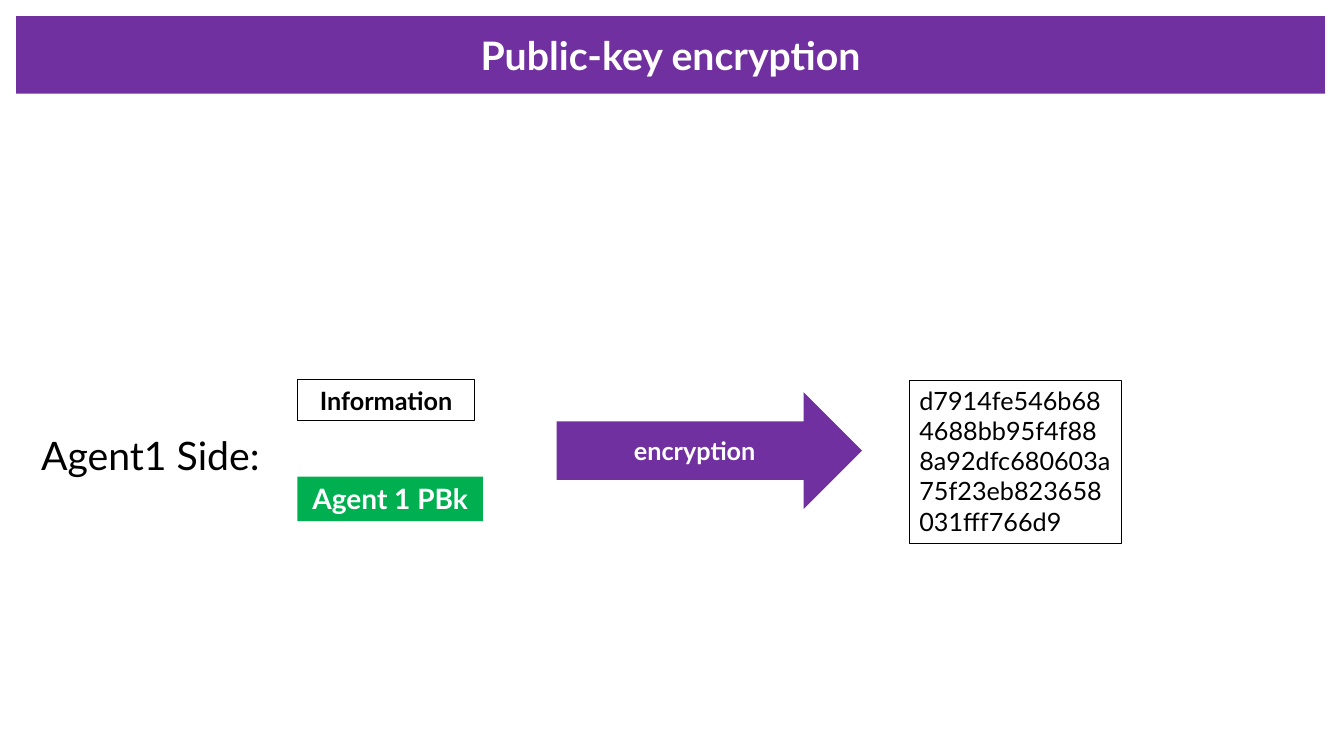
from lxml.etree import SubElement
from pptx import Presentation
from pptx.dml.color import RGBColor
from pptx.enum.shapes import MSO_SHAPE
from pptx.enum.text import MSO_ANCHOR, PP_ALIGN
from pptx.oxml.ns import qn
from pptx.util import Inches, Pt

FONT = "Lato"
COLORS = {"purple": "7030A0", "green": "00B050", "black": "000000", "white": "FFFFFF"}


def color(name):
    return RGBColor.from_string(COLORS[name])


def write(shape, text, size, ink, bold=False, align=PP_ALIGN.LEFT,
          anchor=MSO_ANCHOR.TOP, wrap=True):
    frame = shape.text_frame
    frame.word_wrap = wrap
    frame.vertical_anchor = anchor
    paragraph = frame.paragraphs[0]
    paragraph.alignment = align
    run = paragraph.add_run()
    run.text = text
    run.font.name = FONT
    run.font.size = Pt(size)
    run.font.bold = bold
    run.font.color.rgb = color(ink)


def paint(shape, fill):
    """Fill the shape with a colour, or leave it hollow with a thin outline."""
    if fill:
        shape.fill.solid()
        shape.fill.fore_color.rgb = color(fill)
        shape.line.fill.background()
    else:
        shape.fill.background()
        shape.line.color.rgb = color("black")
        shape.line.width = Pt(0.75)


def add_title_banner(slide, text):
    """Turn the title placeholder into a slanted banner."""
    title = slide.shapes.title
    title.left, title.top = Inches(0.16), Inches(0.16)
    title.width, title.height = Inches(12.98), Inches(0.77)
    outline = SubElement(title._element.spPr, qn("a:prstGeom"), prst="parallelogram")
    guides = SubElement(outline, qn("a:avLst"))
    SubElement(guides, qn("a:gd"), name="adj", fmla="val 75900")
    paint(title, "purple")
    write(title, text, 28, "white", bold=True, align=PP_ALIGN.CENTER,
          anchor=MSO_ANCHOR.MIDDLE)


def add_block(slide, kind, left, top, width, height, fill=None):
    block = slide.shapes.add_shape(
        kind, Inches(left), Inches(top), Inches(width), Inches(height))
    block.shadow.inherit = False
    paint(block, fill)
    return block


def add_side_label(slide, text):
    label = slide.shapes.add_textbox(
        Inches(0.31), Inches(4.23), Inches(2.41), Inches(0.57))
    write(label, text, 28, "black", wrap=False)


def main():
    prs = Presentation()
    prs.slide_width, prs.slide_height = Inches(13.33), Inches(7.5)
    slide = prs.slides.add_slide(prs.slide_layouts[5])
    add_title_banner(slide, "Public-key encryption")

    information = add_block(slide, MSO_SHAPE.RECTANGLE, 2.95, 3.77, 1.76, 0.4)
    write(information, "Information", 18, "black", bold=True, align=PP_ALIGN.CENTER)

    public_key = add_block(slide, MSO_SHAPE.RECTANGLE, 2.95, 4.73, 1.84, 0.44, "green")
    write(public_key, "Agent 1 PBk", 20, "white", bold=True, align=PP_ALIGN.CENTER)

    encryption = add_block(slide, MSO_SHAPE.RIGHT_ARROW, 5.52, 3.89, 3.03, 1.16, "purple")
    write(encryption, "encryption", 18, "white", bold=True, align=PP_ALIGN.CENTER,
          anchor=MSO_ANCHOR.MIDDLE)

    ciphertext = add_block(slide, MSO_SHAPE.RECTANGLE, 9.02, 3.77, 2.1, 1.62)
    write(ciphertext, "d7914fe546b684688bb95f4f888a92dfc680603a75f23eb823658031fff766d9",
          18, "black")

    add_side_label(slide, "Agent1 Side:")
    prs.save("out.pptx")


if __name__ == "__main__":
    main()
